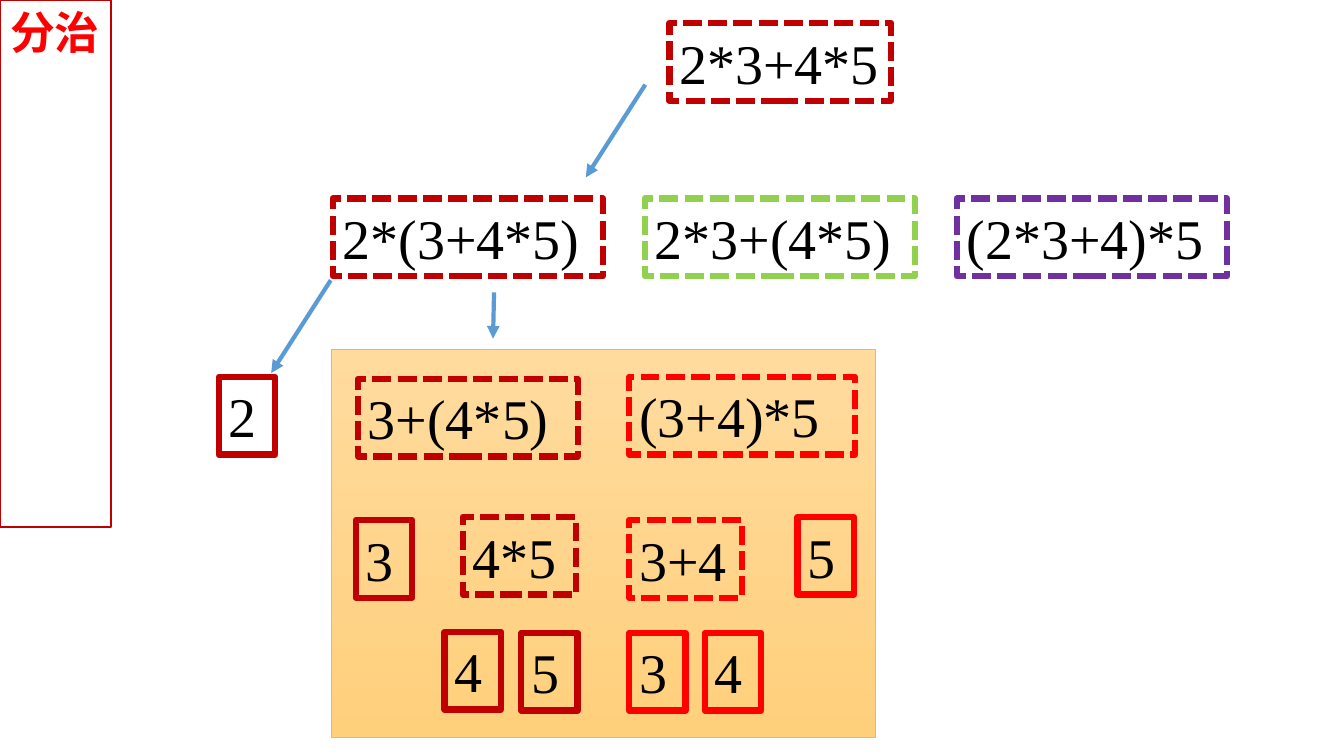
from lxml.etree import SubElement
from pptx import Presentation
from pptx.dml.color import RGBColor
from pptx.enum.dml import MSO_LINE
from pptx.enum.shapes import MSO_CONNECTOR, MSO_SHAPE
from pptx.enum.text import MSO_ANCHOR, MSO_AUTO_SIZE, PP_ALIGN
from pptx.oxml.ns import qn
from pptx.util import Inches, Pt

CELL = 0.1  # the slide is laid out on a grid of 0.1 inch cells
TERM_H, DIGIT_W, PAIR_W = 7.7, 5.6, 11.2
DARK, RED, GREEN, PURPLE, BLUE = "C00000", "FF0000", "92D050", "7030A0", "5B9BD5"


def cells(*counts):
    """Turn grid cells into lengths."""
    return [Inches(n * CELL) for n in counts]


def rgb(code):
    """Turn a hex string into a colour."""
    return RGBColor.from_string(code)


def outline(s, colour, width, dashed=False):
    """Give a shape its border."""
    s.line.color.rgb = rgb(colour)
    s.line.width = Pt(width)
    if dashed:
        s.line.dash_style = MSO_LINE.SQUARE_DOT


def write(s, text, size, font, colour, bold=False):
    """Put one left-aligned run in a shape."""
    tf = s.text_frame
    tf.word_wrap = False
    tf.auto_size = MSO_AUTO_SIZE.SHAPE_TO_FIT_TEXT
    tf.vertical_anchor = MSO_ANCHOR.TOP
    p = tf.paragraphs[0]
    p.alignment = PP_ALIGN.LEFT
    p.line_spacing = 1.0
    p.space_before = Pt(0)
    r = p.add_run()
    r.text = text
    r.font.size, r.font.name, r.font.bold = Pt(size), font, bold
    r.font.color.rgb = rgb(colour)
    SubElement(r.font._element, qn("a:ea"), typeface=font)


def term(slide, text, x, y, w, colour):
    """Draw a boxed expression, dashed while it can still be divided."""
    s = slide.shapes.add_textbox(*cells(x, y, w, TERM_H))
    outline(s, colour, 4.5, dashed=len(text) > 1)
    write(s, text, 40, "Times New Roman", "000000")
    s.text_frame.word_wrap = True


def arrow(slide, x, y, dx, dy):
    """Draw an arrow from a point by an offset."""
    s = slide.shapes.add_connector(
        MSO_CONNECTOR.STRAIGHT, *cells(x, y, x + dx, y + dy))
    outline(s, BLUE, 3)
    SubElement(s.line._get_or_add_ln(), qn("a:tailEnd"), type="triangle")
    SubElement(s._element.spPr, qn("a:effectLst"))


def heading(slide, x, y, w, h):
    """Place the title in its bordered box."""
    s = slide.shapes.title
    s.left, s.top, s.width, s.height = cells(x, y, w, h)
    outline(s, DARK, 1.5)
    write(s, "分治", 32, "Noto Sans CJK SC", RED, bold=True)


def splits(slide, x, y, w, pitch):
    """Place the three ways to split the whole expression in a row."""
    row = [("2*(3+4*5)", DARK), ("2*3+(4*5)", GREEN), ("(2*3+4)*5", PURPLE)]
    for i, (text, colour) in enumerate(row):
        term(slide, text, x + i * pitch, y, w, colour)


def subproblem(slide, x, y, w, h):
    """Draw the panel that divides 3+4*5 in two ways."""
    s = slide.shapes.add_shape(MSO_SHAPE.RECTANGLE, *cells(x, y, w, h))
    s.shadow.inherit = False
    s.fill.gradient()
    s.fill.gradient_angle = 270
    for stop, colour in zip(s.fill.gradient_stops, ("FFDB9E", "FFD07C")):
        stop.color.rgb = rgb(colour)
    outline(s, "FFC000", 0.5)
    parts = {
        DARK: [("3+(4*5)", 2.6, 2.9, 21.8),
               ("3", 2.4, 16.9, DIGIT_W), ("4*5", 13, 16.6, PAIR_W),
               ("4", 11.2, 28, DIGIT_W), ("5", 18.8, 28.1, DIGIT_W)],
        RED: [("(3+4)*5", 29.5, 2.7, 22.4),
              ("3+4", 29.5, 16.9, PAIR_W), ("5", 46.2, 16.6, DIGIT_W),
              ("3", 29.5, 28.1, DIGIT_W), ("4", 37, 28.1, DIGIT_W)],
    }
    for colour, terms in parts.items():
        for text, dx, dy, width in terms:
            term(slide, text, x + dx, y + dy, width, colour)


def divide_slide(prs):
    """Build the slide from the whole expression down to single digits."""
    slide = prs.slides.add_slide(prs.slide_layouts[5])
    heading(slide, 0, 0, 11, 6.4)
    term(slide, "2*3+4*5", 66.4, 2.3, 22, DARK)
    splits(slide, 33, 19.7, 26.8, 30.95)
    term(slide, "2", 21.7, 37.4, DIGIT_W, DARK)
    subproblem(slide, 32.9, 34.7, 53.9, 38.5)
    arrow(slide, 64, 8.4, -5.9, 9.2)
    arrow(slide, 32.8, 27.8, -5.9, 9.2)
    arrow(slide, 49, 29, -0.1, 4.6)


prs = Presentation()
prs.slide_width, prs.slide_height = Inches(13.33), Inches(7.5)
divide_slide(prs)
prs.save("out.pptx")
